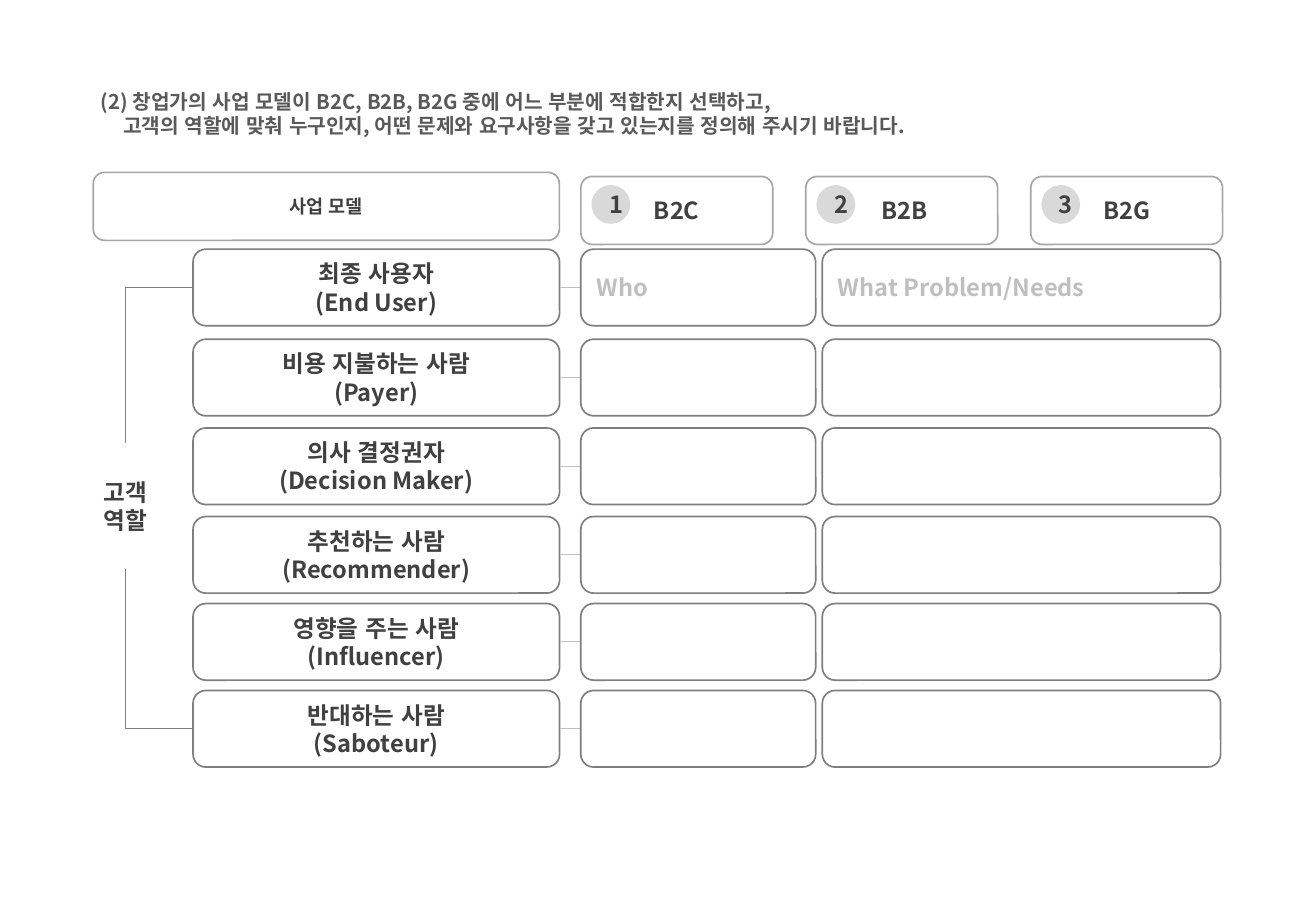
from pptx import Presentation
from pptx.util import Pt
from pptx.dml.color import RGBColor
from pptx.enum.lang import MSO_LANGUAGE_ID as Language
from pptx.enum.shapes import MSO_CONNECTOR as Connector, MSO_SHAPE as Shape
from pptx.enum.text import MSO_ANCHOR as Anchor, PP_ALIGN as Align
from pptx.oxml.ns import qn
from lxml.etree import SubElement

FONT = "Noto Sans CJK KR"
COLORS = {"guide": "595959", "text": "404040", "hint": "BFBFBF", "role": "7F7F7F",
          "model": "A6A6A6", "link": "BFBFBF", "badge": "D9D9D9"}
GUIDE = ("(2) 창업가의 사업 모델이 B2C, B2B, B2G 중에 어느 부분에 적합한지 선택하고,",
         "고객의 역할에 맞춰 누구인지, 어떤 문제와 요구사항을 갖고 있는지를 정의해 주시기 바랍니다.")
MODELS = ("B2C", " B2B", "B2G")
# Row top, Korean role, English role
ROLES = ((147.7, "최종 사용자", "(End User)"),
         (201.1, "비용 지불하는 사람", "(Payer)"),
         (253.7, "의사 결정권자", "(Decision Maker)"),
         (306.2, "추천하는 사람", "(Recommender)"),
         (357.8, "영향을 주는 사람", "(Influencer)"),
         (409.3, "반대하는 사람", "(Saboteur)"))
HINTS = ("Who", "What Problem/Needs")
ROW_HEIGHT = 45.4
LABEL_LEFT, LABEL_WIDTH = 114.5, 217.4
WHO_LEFT, WHO_WIDTH = 344.5, 139.3
NEED_LEFT, NEED_WIDTH = 487.7, 236.2


def color(name):
    return RGBColor.from_string(COLORS[name])


def write(item, lines, size=14, ink="text", align=Align.CENTER):
    frame = item.text_frame
    frame.word_wrap = True
    frame.vertical_anchor = Anchor.MIDDLE
    frame.text = "\n".join(lines)
    for paragraph in frame.paragraphs:
        paragraph.alignment = align
        for run in paragraph.runs:
            run.font.size, run.font.bold, run.font.name = Pt(size), True, FONT
            run.font.language_id = Language.KOREAN
            run.font.color.rgb = color(ink)
            SubElement(run.font._element, qn("a:ea")).set("typeface", FONT)


def add_card(slide, left, top, width, height, edge):
    card = slide.shapes.add_shape(Shape.ROUNDED_RECTANGLE, Pt(left), Pt(top), Pt(width), Pt(height))
    card.shadow.inherit = False
    card.fill.background()
    card.line.color.rgb = color(edge)
    card.line.width = Pt(1)
    return card


def add_link(slide, kind, start, end, edge):
    link = slide.shapes.add_connector(kind, *map(Pt, start + end))
    link.line.color.rgb = color(edge)
    link.line.width = Pt(0.5)
    properties = link._element.spPr
    SubElement(properties, qn("a:effectLst"))
    if kind == Connector.ELBOW:  # a single corner
        properties.find(qn("a:prstGeom")).set("prst", "bentConnector2")


# Instruction above the form
def add_guide(slide, left, top, width, height):
    guide = slide.shapes.add_textbox(Pt(left), Pt(top), Pt(width), Pt(height))
    write(guide, GUIDE, 12, "guide", Align.LEFT)
    guide.text_frame.paragraphs[1]._p.get_or_add_pPr().set("marL", str(Pt(13.5)))


# Business model choices
def add_model(slide, left, top, width, height, number, name):
    write(add_card(slide, left, top, width, height, "model"), [name])
    badge = slide.shapes.add_shape(Shape.OVAL, Pt(left + 6.3), Pt(top + 5.1), Pt(23), Pt(23))
    badge.shadow.inherit = False
    badge.fill.solid()
    badge.fill.fore_color.rgb = color("badge")
    badge.line.fill.background()
    write(badge, [str(number)])


def add_header(slide, left, top):
    heading = add_card(slide, left, top, 276.5, 40.3, "model")
    write(heading, ["사업 모델"], 11)
    for index, name in enumerate(MODELS):
        add_model(slide, WHO_LEFT + index * 133.4, top + 2.4, 113.8, 40.3, index + 1, name)


# Customer roles with answer fields
def add_role_row(slide, top, role):
    write(add_card(slide, LABEL_LEFT, top, LABEL_WIDTH, ROW_HEIGHT, "role"), role)
    middle = top + ROW_HEIGHT / 2
    add_link(slide, Connector.STRAIGHT, (LABEL_LEFT + LABEL_WIDTH, middle),
             (WHO_LEFT, middle), "link")
    return [add_card(slide, left, top, width, ROW_HEIGHT, "role")
            for left, width in ((WHO_LEFT, WHO_WIDTH), (NEED_LEFT, NEED_WIDTH))]


def add_roles(slide):
    rows = [add_role_row(slide, top, role) for top, *role in ROLES]
    for answer, hint in zip(rows[0], HINTS):
        write(answer, [hint], ink="hint", align=Align.LEFT)


# Caption joined to the first and last role
def add_role_bracket(slide, left, top, width, height):
    caption = slide.shapes.add_textbox(Pt(left), Pt(top), Pt(width), Pt(height))
    write(caption, ["고객 역할"])
    center = left + width / 2
    for row, end in ((ROLES[0], top), (ROLES[-1], top + height)):
        add_link(slide, Connector.ELBOW, (LABEL_LEFT, row[0] + ROW_HEIGHT / 2),
                 (center, end), "role")


def main():
    deck = Presentation()
    deck.slide_width, deck.slide_height = Pt(780.48), Pt(540)
    slide = deck.slides.add_slide(deck.slide_layouts[6])
    add_guide(slide, 52.6, 43.4, 664.6, 47.5)
    add_header(slide, 55.3, 102.2)
    add_roles(slide)
    add_role_bracket(slide, 46.9, 262.5, 54.7, 75)
    deck.save("out.pptx")


if __name__ == "__main__":
    main()
